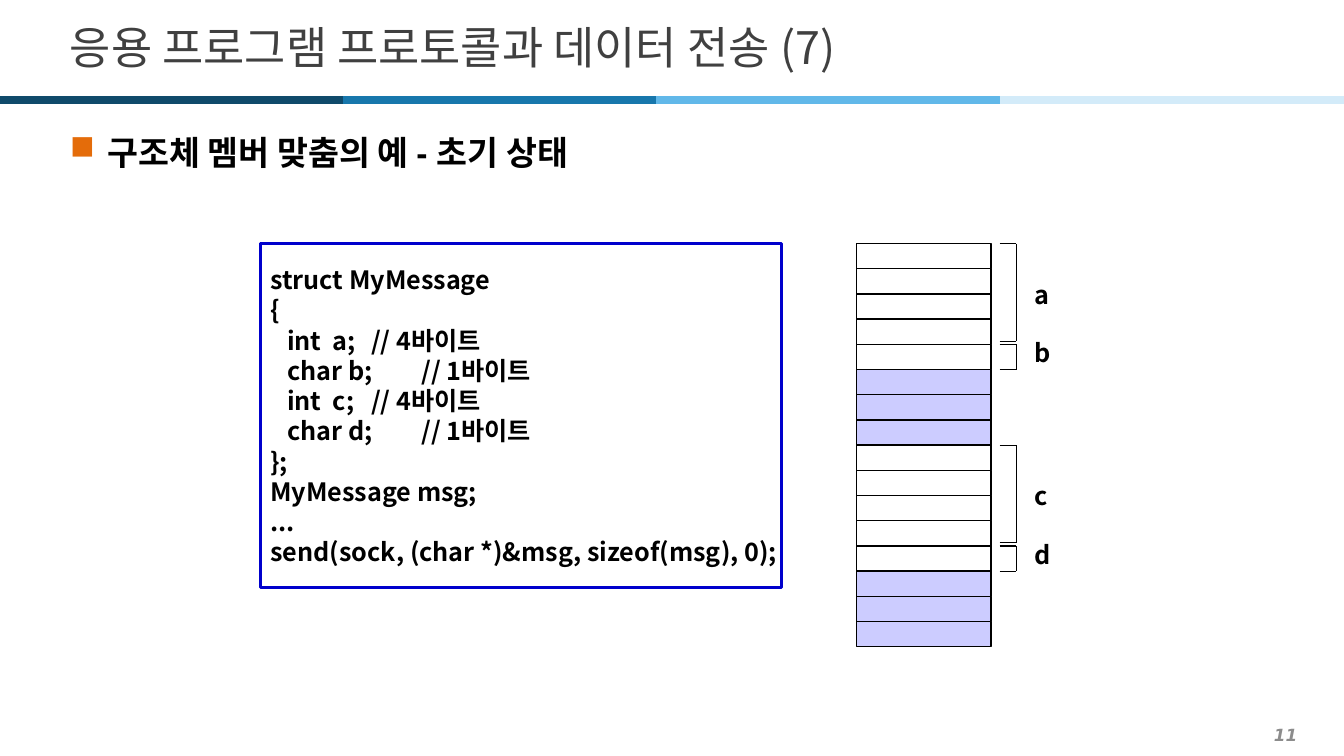
from dataclasses import dataclass

from lxml import etree
from pptx import Presentation
from pptx import util as u
from pptx.dml.color import RGBColor
from pptx.enum import shapes, text
from pptx.oxml import ns

PX = 9525  # EMU per px, 96 px to the inch
SANS = "Noto Sans CJK KR"

BLACK = RGBColor(0x00, 0x00, 0x00)
WHITE = RGBColor(0xFF, 0xFF, 0xFF)
TITLE_GRAY = RGBColor(0x40, 0x40, 0x40)
NUMBER_GRAY = RGBColor(0x8C, 0x8C, 0x8C)
CODE_BLUE = RGBColor(0x00, 0x00, 0xCC)
PADDING_FILL = RGBColor(0xCC, 0xCC, 0xFF)
BULLET_ORANGE = RGBColor(0xE4, 0x6C, 0x0A)
STRIPE_NAVY = RGBColor(0x0F, 0x4A, 0x6B)
STRIPE_BLUE = RGBColor(0x18, 0x77, 0xAC)
STRIPE_SKY = RGBColor(0x61, 0xB8, 0xE9)
STRIPE_PALE = RGBColor(0xD3, 0xEB, 0xF9)


@dataclass(frozen=True)
class Stripe:
    left: int
    right: int
    color: RGBColor


@dataclass(frozen=True)
class Member:
    name: str
    size: int  # bytes used
    padding: int  # unused bytes that follow


STRIPES = [
    Stripe(0, 327, STRIPE_NAVY),
    Stripe(327, 625, STRIPE_BLUE),
    Stripe(625, 952, STRIPE_SKY),
    Stripe(952, 1280, STRIPE_PALE),
]
MEMBERS = [Member("a", 4, 0), Member("b", 1, 3), Member("c", 4, 0), Member("d", 1, 3)]
CODE = [
    "struct MyMessage",
    "{",
    "int  a;\t// 4바이트",
    "char b;\t// 1바이트",
    "int  c;\t// 4바이트",
    "char d;\t// 1바이트",
    "};",
    "MyMessage msg;",
    "...",
    "send(sock, (char *)&msg, sizeof(msg), 0);",
]
CELL_LEFT, CELL_TOP, CELL_W, CELL_H = 816, 232, 128, 24
BRACKET_LEFT, BRACKET_RIGHT, BRACKET_GAP = 952, 968, 3
LABEL_LEFT, LABEL_W, LABEL_H = 976, 48, 16


def px(n: int) -> u.Emu:
    return u.Emu(n * PX)


def add_text(p, content: str, *, size: int, color: RGBColor, font: str = SANS,
             east_asian: str = SANS, bold: bool = False, italic: bool = False) -> None:
    r = p.add_run()
    r.text = content
    f = r.font
    f.size, f.name, f.bold, f.italic = u.Pt(size), font, bold, italic
    f.color.rgb = color
    ea = etree.SubElement(r._r.get_or_add_rPr(), ns.qn("a:ea"))
    ea.set("typeface", east_asian)


def add_line(slide, x1: int, y1: int, x2: int, y2: int, color: RGBColor, width: float) -> None:
    sp = slide.shapes.add_connector(
        shapes.MSO_CONNECTOR.STRAIGHT, px(x1), px(y1), px(x2), px(y2))
    sp.line.color.rgb = color
    sp.line.width = u.Pt(width)
    etree.SubElement(sp._element.spPr, ns.qn("a:effectLst"))


def add_box(slide, left: int, top: int, width: int, height: int,
            fill: RGBColor | None = None, line: RGBColor | None = None, weight: float = 1):
    sp = slide.shapes.add_shape(
        shapes.MSO_SHAPE.RECTANGLE, px(left), px(top), px(width), px(height))
    sp.shadow.inherit = False
    if fill is None:
        sp.fill.background()
    else:
        sp.fill.solid()
        sp.fill.fore_color.rgb = fill
    if line is None:
        sp.line.fill.background()
    else:
        sp.line.color.rgb = line
        sp.line.width = u.Pt(weight)
    tf = sp.text_frame
    tf.word_wrap = False
    tf.vertical_anchor = text.MSO_ANCHOR.MIDDLE
    tf.paragraphs[0].alignment = text.PP_ALIGN.LEFT
    return sp


def add_textbox(slide, left: int, top: int, width: int, height: int):
    tf = slide.shapes.add_textbox(px(left), px(top), px(width), px(height)).text_frame
    tf.word_wrap = True
    return tf


def add_title(slide, content: str) -> None:
    sp = slide.shapes.title
    sp.left, sp.top, sp.width, sp.height = px(57), px(12), px(1172), px(65)
    tf = sp.text_frame
    tf.auto_size = text.MSO_AUTO_SIZE.NONE
    tf.vertical_anchor = text.MSO_ANCHOR.MIDDLE
    p = tf.paragraphs[0]
    p.alignment = text.PP_ALIGN.LEFT
    add_text(p, content, size=32, color=TITLE_GRAY)


def add_bullet(slide, content: str) -> None:
    p = add_textbox(slide, 57, 113, 1172, 579).paragraphs[0]
    p.line_spacing = 1.2
    p.space_after = u.Pt(2)
    pPr = p._p.get_or_add_pPr()
    pPr.set("marL", str(px(36)))
    pPr.set("indent", str(-px(36)))
    color = etree.SubElement(pPr, ns.qn("a:buClr"))
    etree.SubElement(color, ns.qn("a:srgbClr")).set("val", str(BULLET_ORANGE))
    etree.SubElement(pPr, ns.qn("a:buChar")).set("char", "■")
    add_text(p, content, size=24, color=BLACK, font="Arial", bold=True)


def add_code(slide) -> None:
    tf = add_box(slide, 248, 232, 496, 328, line=CODE_BLUE, weight=2.25).text_frame
    for i, content in enumerate(CODE):
        p = tf.paragraphs[0] if i == 0 else tf.add_paragraph()
        p.alignment = text.PP_ALIGN.LEFT
        p.line_spacing = u.Pt(21.6)
        if "\t" in content:  # member line: indented, comment at a tab stop
            pPr = p._p.get_or_add_pPr()
            pPr.set("marL", "0")
            pPr.set("indent", str(px(16)))
            tabs = etree.SubElement(pPr, ns.qn("a:tabLst"))
            tab = etree.SubElement(tabs, ns.qn("a:tab"))
            tab.set("pos", str(px(126)))
            tab.set("algn", "l")
        add_text(p, content, size=18, color=BLACK, bold=True)


def add_member(slide, member: Member, top: int) -> int:
    """Draw the cells, bracket and label of a member; return the next free top."""
    cells = member.size + member.padding
    for i in range(cells):
        fill = WHITE if i < member.size else PADDING_FILL
        add_box(slide, CELL_LEFT, top + i * CELL_H, CELL_W, CELL_H, fill, BLACK)

    bottom = top + member.size * CELL_H - (0 if member.padding else BRACKET_GAP)
    for y in (top, bottom):
        add_line(slide, BRACKET_LEFT, y, BRACKET_RIGHT, y, BLACK, 0.75)
    add_line(slide, BRACKET_RIGHT, top, BRACKET_RIGHT, bottom, BLACK, 0.75)

    label_top = top + (member.size - 1) * 40 // 3
    sp = add_box(slide, LABEL_LEFT, label_top, LABEL_W, LABEL_H, WHITE)
    add_text(sp.text_frame.paragraphs[0], member.name, size=18, color=BLACK, bold=True)
    return top + cells * CELL_H


def main() -> None:
    prs = Presentation()
    prs.slide_width, prs.slide_height = px(1280), px(720)
    slide = prs.slides.add_slide(prs.slide_layouts.get_by_name("Title Only"))

    # Header and page number
    add_title(slide, "응용 프로그램 프로토콜과 데이터 전송 (7)")
    for s in STRIPES:
        add_line(slide, s.left, 95, s.right, 95, s.color, 6)
    tf = add_textbox(slide, 19, 685, 1226, 30)
    tf.vertical_anchor = text.MSO_ANCHOR.MIDDLE
    p = tf.paragraphs[0]
    p.alignment = text.PP_ALIGN.RIGHT
    add_text(p, "11", size=12, color=NUMBER_GRAY, font="DejaVu Sans", bold=True, italic=True)

    # Struct definition and its memory layout
    add_bullet(slide, "구조체 멤버 맞춤의 예 - 초기 상태")
    add_code(slide)
    top = CELL_TOP
    for member in MEMBERS:
        top = add_member(slide, member, top)

    prs.save("out.pptx")


if __name__ == "__main__":
    main()
